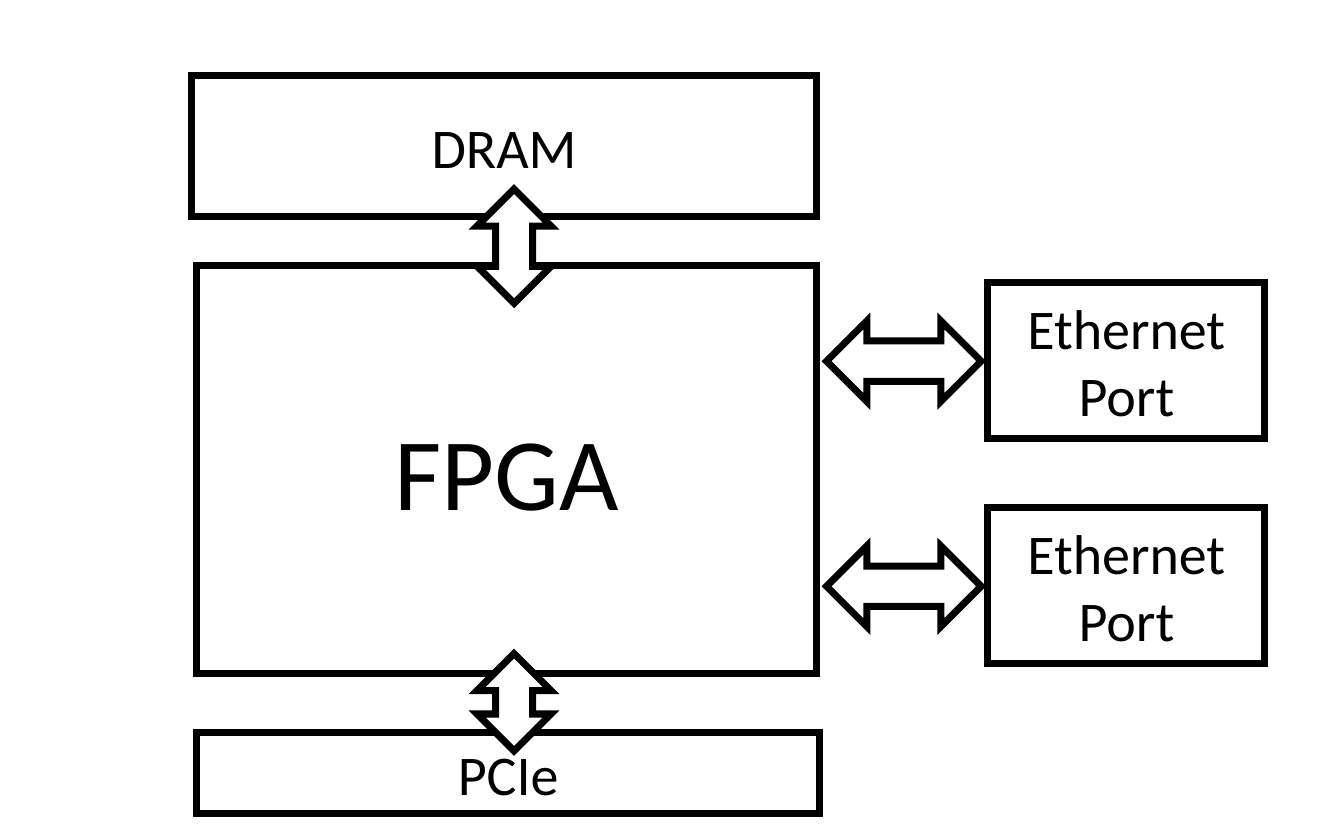
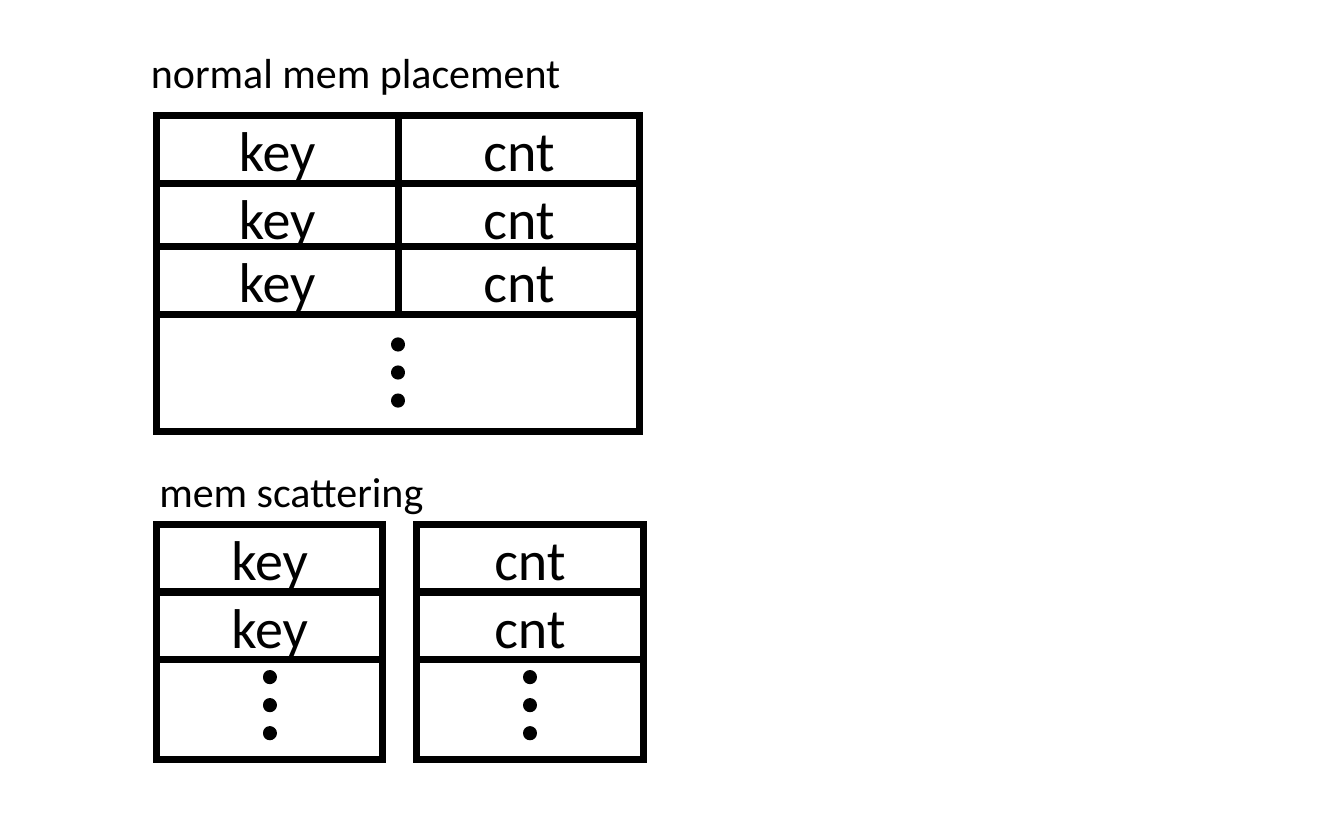
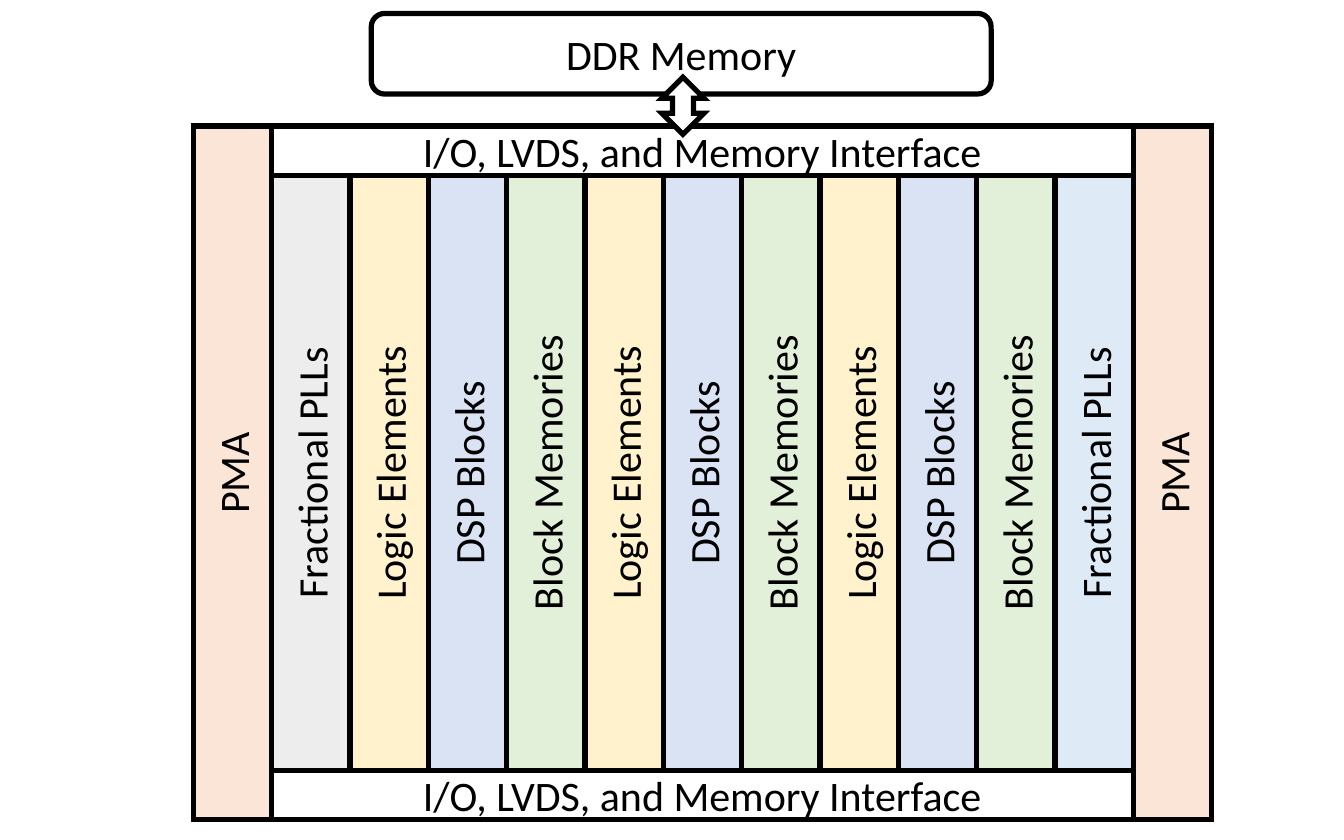
from dataclasses import dataclass

import pptx
import pptx.dml.color
import pptx.enum.dml
import pptx.enum.shapes
import pptx.enum.text
import pptx.oxml
import pptx.oxml.ns
import pptx.presentation
import pptx.shapes.autoshape
import pptx.slide
import pptx.text.text
import pptx.util

SLIDE_WIDTH = pptx.util.Inches(8)
SLIDE_HEIGHT = pptx.util.Inches(5)
COLUMNS, ROWS = 80, 50

BLACK, WHITE = "000000", "FFFFFF"
PEACH, GREY, CREAM = "FBE5D6", "EDEDED", "FFF2CC"
BLUE, GREEN, SKY = "DAE3F3", "E2F0D9", "DEEBF7"

FONT_NAME = "Calibri"
THICK, MEDIUM, DOTTED = 3, 2.25, 6

SHAPES = pptx.enum.shapes.MSO_SHAPE
RECTANGLE, ROUNDED = SHAPES.RECTANGLE, SHAPES.ROUNDED_RECTANGLE
VERTICAL_ARROW, HORIZONTAL_ARROW = SHAPES.UP_DOWN_ARROW, SHAPES.LEFT_RIGHT_ARROW


@dataclass(frozen=True)
class Block:
    """An outlined shape, placed in grid columns and rows."""

    left: float
    top: float
    width: float
    height: float
    text: str = ""
    size: float = 24
    fill: str = WHITE
    line: float = THICK
    kind: SHAPES = RECTANGLE
    upright: bool = False


@dataclass(frozen=True)
class Caption:
    left: float
    top: float
    width: float
    text: str
    wrap: bool


@dataclass(frozen=True)
class MemoryTable:
    """A frame with filled rows on top and a dotted continuation below."""

    left: float
    frame_top: float
    frame_height: float
    column_width: float
    headings: tuple[str, ...]
    row_tops: tuple[float, ...]
    dots_top: float


def across(columns: float) -> int:
    return round(SLIDE_WIDTH * columns / COLUMNS)


def down(rows: float) -> int:
    return round(SLIDE_HEIGHT * rows / ROWS)


def colour(value: str) -> pptx.dml.color.RGBColor:
    return pptx.dml.color.RGBColor.from_string(value)


def apply_format(target: object, values: dict[str, object]) -> None:
    for name, value in values.items():
        setattr(target, name, value)


def write_text(frame: pptx.text.text.TextFrame, text: str, size: float) -> None:
    paragraph = frame.paragraphs[0]
    run = paragraph.add_run()
    run.text = text
    apply_format(run.font, {"name": FONT_NAME, "size": pptx.util.Pt(size)})
    run.font.color.rgb = colour(BLACK)


def draw_block(slide: pptx.slide.Slide, block: Block) -> None:
    shape = slide.shapes.add_shape(
        block.kind,
        across(block.left), down(block.top), across(block.width), down(block.height),
    )
    shape.shadow.inherit = False
    shape.fill.solid()
    shape.fill.fore_color.rgb = colour(block.fill)
    shape.line.color.rgb = colour(BLACK)
    shape.line.width = pptx.util.Pt(block.line)
    outline = shape.line._get_or_add_ln()
    miter = pptx.oxml.ns.qn("a:miter")
    outline.append(outline.makeelement(miter, {"lim": "800000"}))
    if not block.text:
        return
    frame = shape.text_frame
    apply_format(frame, {
        "word_wrap": True,
        "vertical_anchor": pptx.enum.text.MSO_ANCHOR.MIDDLE,
    })
    if block.upright:
        frame._txBody.bodyPr.set("vert", "vert270")
    frame.paragraphs[0].alignment = pptx.enum.text.PP_ALIGN.CENTER
    write_text(frame, block.text, block.size)


def draw_caption(slide: pptx.slide.Slide, caption: Caption) -> None:
    box = slide.shapes.add_textbox(
        across(caption.left), down(caption.top), across(caption.width), down(4)
    )
    apply_format(box.text_frame, {
        "word_wrap": caption.wrap,
        "auto_size": pptx.enum.text.MSO_AUTO_SIZE.SHAPE_TO_FIT_TEXT,
    })
    write_text(box.text_frame, caption.text, 18)


def draw_dots(slide: pptx.slide.Slide, left: float, top: float) -> None:
    """Draw three round dots as a short vertical dotted line."""
    connector = slide.shapes.add_connector(
        pptx.enum.shapes.MSO_CONNECTOR.STRAIGHT,
        across(left), down(top), across(left), down(top + 4.15),
    )
    connector.line.color.rgb = colour(BLACK)
    apply_format(connector.line, {
        "width": pptx.util.Pt(DOTTED),
        "dash_style": pptx.enum.dml.MSO_LINE.ROUND_DOT,
    })
    connector.line._get_or_add_ln().set("cap", "rnd")
    properties = connector._element.spPr
    properties.append(properties.makeelement(pptx.oxml.ns.qn("a:effectLst"), {}))


def draw_memory_table(slide: pptx.slide.Slide, table: MemoryTable) -> None:
    width = table.column_width * len(table.headings)
    draw_block(slide, Block(table.left, table.frame_top, width, table.frame_height))
    for top in table.row_tops:
        for index, heading in enumerate(table.headings):
            left = table.left + index * table.column_width
            draw_block(slide, Block(left, top, table.column_width, 4, heading))
    draw_dots(slide, table.left + width / 2, table.dots_top)


def add_blank_slide(presentation: pptx.presentation.Presentation) -> pptx.slide.Slide:
    return presentation.slides.add_slide(presentation.slide_layouts[6])


def build_board_slide(slide: pptx.slide.Slide) -> None:
    draw_block(slide, Block(11.7, 15.8, 36.9, 24.3, "FPGA", size=44))
    draw_block(slide, Block(11.4, 4.5, 37.2, 8.4, "DRAM"))
    for port_top in (16.8, 30.2):
        draw_block(slide, Block(58.8, port_top, 16.5, 9.3, "Ethernet Port"))
        draw_block(
            slide, Block(49.2, port_top + 2.3, 9.2, 4.8, kind=HORIZONTAL_ARROW)
        )
    draw_block(slide, Block(11.7, 43.6, 37.1, 4.8, "PCIe"))
    for top, height in ((11.25, 6.8), (38.9, 5.8)):
        draw_block(slide, Block(28.4, top, 4.4, height, kind=VERTICAL_ARROW))


def build_memory_slide(slide: pptx.slide.Slide) -> None:
    draw_caption(slide, Caption(8, 2.3, 35.3, "normal mem placement", True))
    draw_memory_table(slide, MemoryTable(
        9.3, 7.1, 18.6, 14.4, ("key", "cnt"), (6.9, 10.9, 14.7), 20.5
    ))
    draw_caption(slide, Caption(8.5, 27.2, 18, "mem scattering", False))
    for left, heading in ((9.3, "key"), (24.8, "cnt")):
        draw_memory_table(slide, MemoryTable(
            left, 31.2, 14, 13.5, (heading,), (31.2, 35.25), 40.3
        ))


def build_fabric_slide(slide: pptx.slide.Slide) -> None:
    logic = ("Logic Elements", CREAM)
    signal = ("DSP Blocks", BLUE)
    memory = ("Block Memories", GREEN)
    strips = [
        ("PMA", PEACH),
        ("Fractional PLLs", GREY),
        *(logic, signal, memory) * 3,
        ("Fractional PLLs", SKY),
        ("PMA", PEACH),
    ]
    left, top, height, bar_height = 11.5, 7.5, 41.3, 2.95
    inner_width = 51.3
    pitch = inner_width / (len(strips) - 2)
    style = {"size": 18, "line": MEDIUM}

    for index, (text, fill) in enumerate(strips):
        inset = 0 if index in (0, len(strips) - 1) else bar_height
        draw_block(slide, Block(
            left + index * pitch, top + inset, pitch, height - 2 * inset,
            text, fill=fill, upright=True, **style,
        ))
    for bar_top in (top, top + height - bar_height):
        draw_block(slide, Block(
            left + pitch, bar_top, inner_width, bar_height,
            "I/O, LVDS, and Memory Interface", **style,
        ))
    draw_block(slide, Block(22.1, 0.8, 36.9, 4.8, "DDR Memory", kind=ROUNDED, **style))
    draw_block(slide, Block(39.4, 4.6, 2.5, 3.4, kind=VERTICAL_ARROW, **style))


def main() -> None:
    presentation = pptx.Presentation()
    apply_format(
        presentation, {"slide_width": SLIDE_WIDTH, "slide_height": SLIDE_HEIGHT}
    )
    for build in (build_board_slide, build_memory_slide, build_fabric_slide):
        build(add_blank_slide(presentation))
    presentation.save("out.pptx")


if __name__ == "__main__":
    main()
